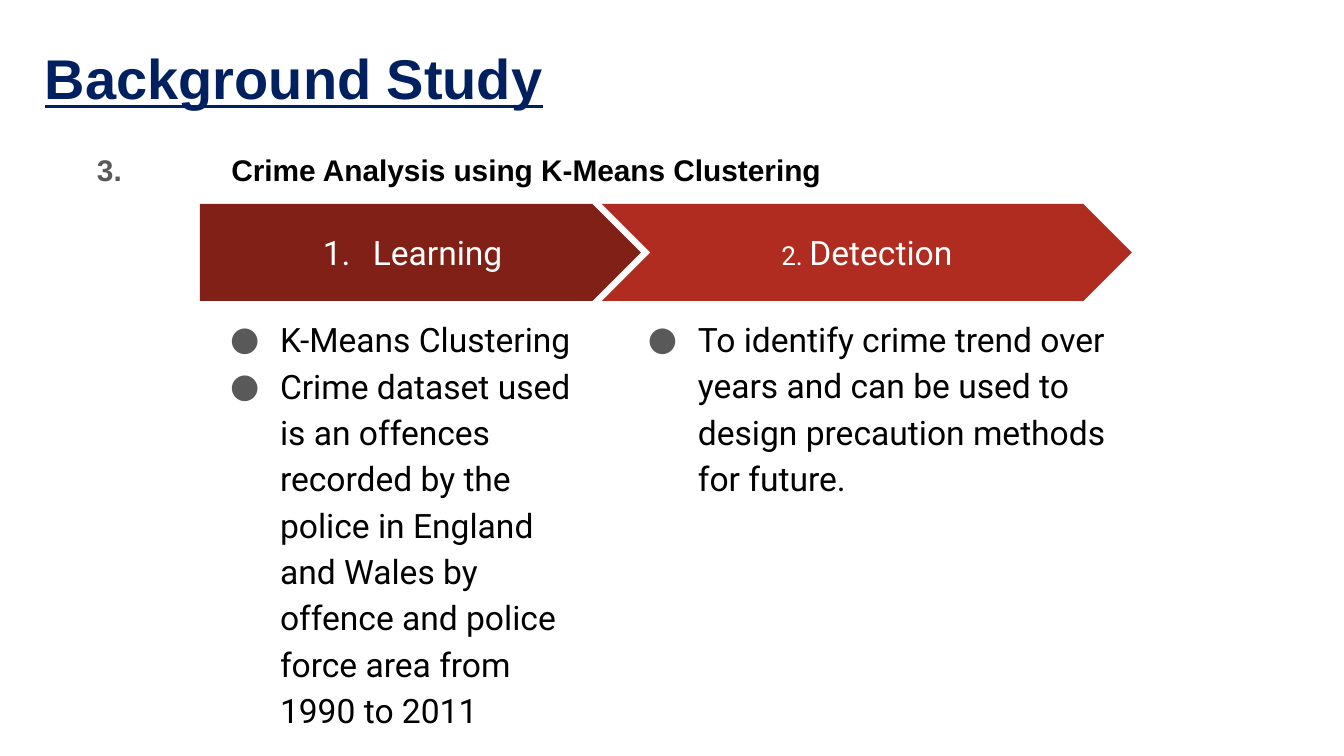
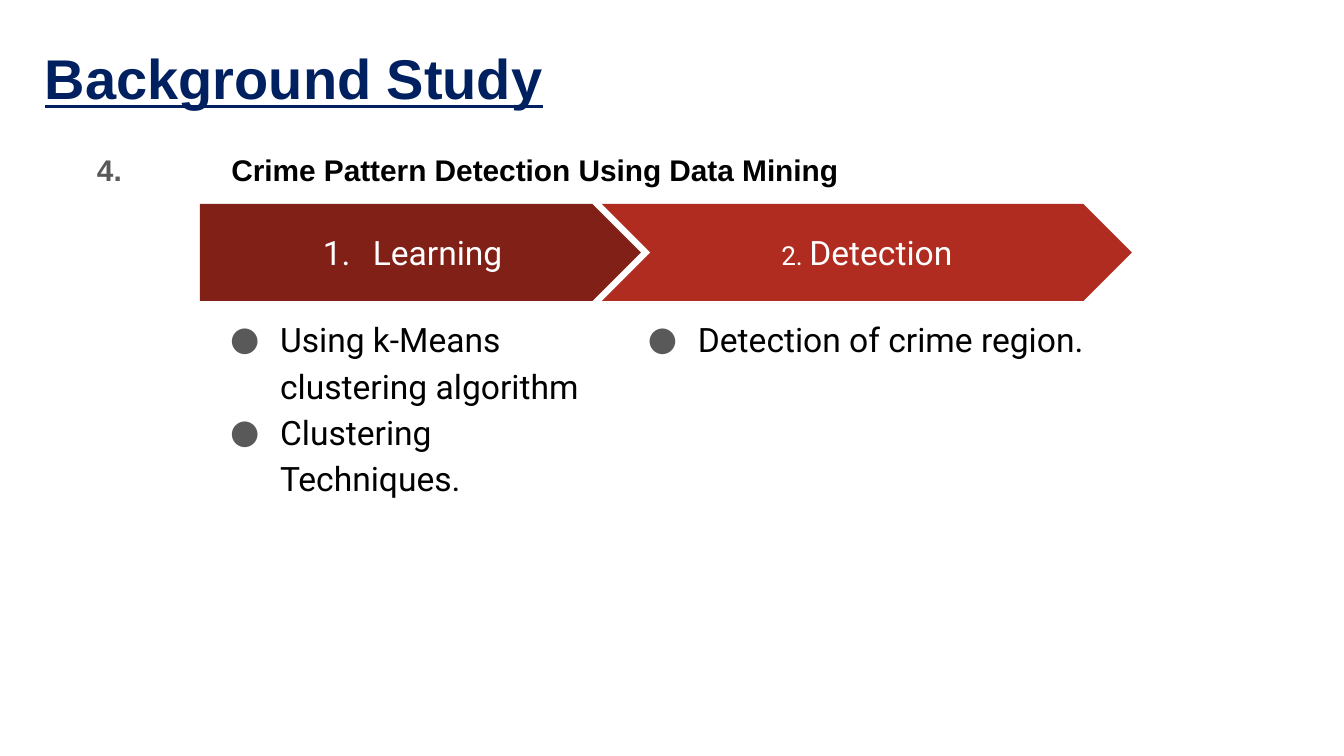
from dataclasses import dataclass

from lxml import etree
from pptx import Presentation, util as u
from pptx.dml.color import RGBColor
from pptx.enum import shapes, text
from pptx.oxml.ns import qn

EMU_PER_PX = 914400 / 134.4
PAGE_W, PAGE_H = 1344, 756


@dataclass(frozen=True)
class Theme:
    navy: str = "002060"
    black: str = "000000"
    grey: str = "595959"
    white: str = "FFFFFF"
    dark_red: str = "802017"
    red: str = "B02C20"
    heading_font: str = "Arial"
    step_font: str = "Roboto"
    title_size: int = 30
    heading_size: int = 16
    step_size: int = 18
    small_size: int = 14
    line_spacing: float = 1.15
    inset: int = 13
    bullet_indent: int = 67
    bullet_hang: int = -50


THEME = Theme()

STUDIES = [
    ("3.", "Crime Analysis using K-Means Clustering",
     ["K-Means Clustering",
      "Crime dataset used is an offences recorded by the police in England "
      "and Wales by offence and police force area from 1990 to 2011"],
     ["To identify crime trend over years and can be used to design "
      "precaution methods for future."]),
    ("4.", "Crime Pattern Detection Using Data Mining",
     ["Using k-Means clustering algorithm", "Clustering Techniques."],
     ["Detection of crime region."]),
]


def px(length):
    return u.Emu(round(length * EMU_PER_PX))


# Text
def prepare_frame(shape, anchor=text.MSO_ANCHOR.TOP):
    frame = shape.text_frame
    frame.word_wrap = True
    frame.vertical_anchor = anchor
    frame.margin_left = frame.margin_right = px(THEME.inset)
    frame.margin_top = frame.margin_bottom = px(THEME.inset)
    return frame


def add_text_box(parent, box):
    return prepare_frame(parent.add_textbox(*map(px, box)))


def write(para, words, *, size, font, color, bold=False, underline=False):
    span = para.add_run()
    span.text = words
    span.font.size = u.Pt(size)
    span.font.name = font
    span.font.color.rgb = RGBColor.from_string(color)
    span.font.bold = bold
    span.font.underline = underline


def set_indent(para, left, first=0):
    props = para._p.get_or_add_pPr()
    props.set("marL", str(px(left)))
    props.set("indent", str(px(first)))
    return props


def add_marker(para, color, kind, **attributes):
    props = set_indent(para, THEME.bullet_indent, THEME.bullet_hang)
    tint = etree.SubElement(props, qn("a:buClr"))
    etree.SubElement(tint, qn("a:srgbClr"), val=color)
    etree.SubElement(props, qn("a:buFont"), typeface=THEME.step_font)
    etree.SubElement(props, qn(kind), **attributes)


# Title and numbered heading
def add_title(page, box):
    para = add_text_box(page.shapes, box).paragraphs[0]
    write(para, "Background Study", size=THEME.title_size,
          font=THEME.heading_font, color=THEME.navy, bold=True, underline=True)


def add_heading(page, box, number, topic):
    para = add_text_box(page.shapes, box).paragraphs[0]
    para.line_spacing = THEME.line_spacing
    set_indent(para, 84).set("defTabSz", str(u.Inches(1)))
    style = dict(size=THEME.heading_size, font=THEME.heading_font, bold=True)
    write(para, number, color=THEME.grey, **style)
    write(para, "\t" + topic, color=THEME.black, **style)


# Process steps: an arrow with its bullet list
def add_arrow(parent, box, preset, color):
    arrow = parent.add_shape(preset, *map(px, box))
    arrow.shadow.inherit = False
    arrow.fill.solid()
    arrow.fill.fore_color.rgb = RGBColor.from_string(color)
    arrow.line.fill.background()
    arrow.adjustments[0] = 0.5
    para = prepare_frame(arrow, text.MSO_ANCHOR.MIDDLE).paragraphs[0]
    para.alignment = text.PP_ALIGN.CENTER
    return para


def add_bullets(parent, box, items):
    frame = add_text_box(parent, box)
    for index, item in enumerate(items):
        para = frame.add_paragraph() if index else frame.paragraphs[0]
        para.line_spacing = THEME.line_spacing
        add_marker(para, THEME.grey, "a:buChar", char="●")
        write(para, item, size=THEME.step_size, font=THEME.step_font,
              color=THEME.black)


def add_learning(page, box, items):
    left, top, width, height = box
    parts = page.shapes.add_group_shape().shapes
    para = add_arrow(parts, box, shapes.MSO_SHAPE.PENTAGON, THEME.dark_red)
    add_marker(para, THEME.white, "a:buAutoNum", type="arabicPeriod")
    write(para, "Learning ", size=THEME.step_size, font=THEME.step_font,
          color=THEME.white)
    add_bullets(parts, (left, top + height - 1, width - 39, 406), items)


def add_detection(page, box, items):
    left, top, width, height = box
    parts = page.shapes.add_group_shape().shapes
    para = add_arrow(parts, box, shapes.MSO_SHAPE.CHEVRON, THEME.red)
    style = dict(font=THEME.step_font, color=THEME.white)
    write(para, "2. ", size=THEME.small_size, **style)
    write(para, "Detection", size=THEME.step_size, **style)
    add_bullets(parts, (left + 16, top + height - 1, width, 450), items)


def add_study_page(deck, number, topic, learning, detection):
    page = deck.slides.add_slide(deck.slide_layouts[6])
    page.background.fill.solid()
    page.background.fill.fore_color.rgb = RGBColor.from_string(THEME.white)
    add_title(page, (32, 31, 1253, 85))
    add_heading(page, (0, 133, PAGE_W, 599), number, topic)
    add_learning(page, (200, 204, 441, 97), learning)
    add_detection(page, (602, 204, 530, 97), detection)


def main():
    deck = Presentation()
    deck.slide_width, deck.slide_height = px(PAGE_W), px(PAGE_H)
    for study in STUDIES:
        add_study_page(deck, *study)
    deck.save("out.pptx")


if __name__ == "__main__":
    main()
